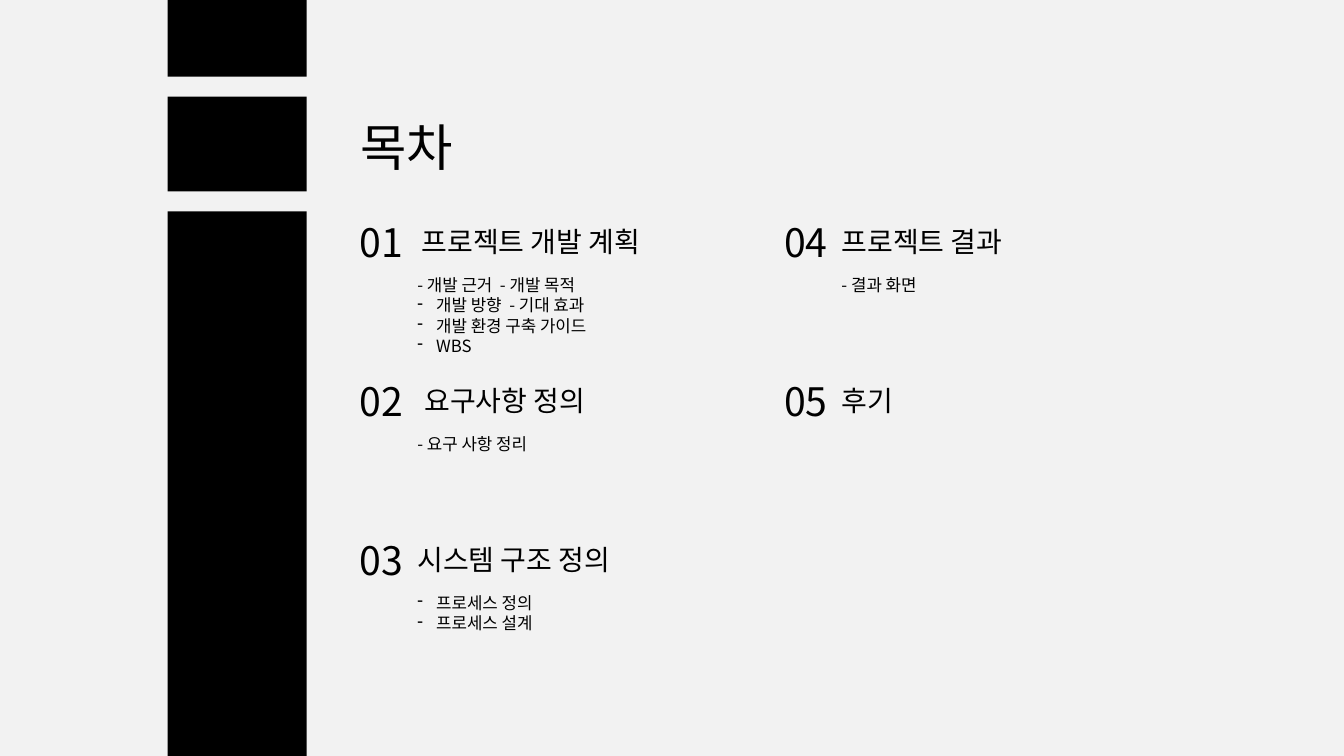
from pptx import Presentation
from pptx import util as u
from pptx.dml.color import RGBColor
from pptx.enum import shapes, text
from pptx.oxml.xmlchemy import OxmlElement

Pt = u.Pt
BLACK = RGBColor(0, 0, 0)
PALE = RGBColor(0xF2, 0xF2, 0xF2)
FONT = "Noto Sans CJK KR"

COLUMNS = (250, 553)
TOP, ROW_STEP, ROWS = 152.6, 113.5, 3
BULLET_INDENT = 13.5

# Heading, heading offset from its number, details as (text, bulleted)
SECTIONS = [
    ("프로젝트 개발 계획", 44, [("- 개발 근거  - 개발 목적", False),
                        ("개발 방향  - 기대 효과", True),
                        ("개발 환경 구축 가이드", True),
                        ("WBS", True)]),
    ("요구사항 정의", 46, [("- 요구 사항 정리", False)]),
    ("시스템 구조 정의", 41, [("프로세스 정의", True), ("프로세스 설계", True)]),
    ("프로젝트 결과", 41, [("- 결과 화면", False)]),
    ("후기", 41, []),
]


def write(p, content, size=12, color=BLACK, bullet=False):
    """Fill a paragraph with one formatted run, optionally dash-bulleted."""
    p.alignment = text.PP_ALIGN.LEFT
    r = p.add_run()
    r.text = content
    r.font.size, r.font.name = Pt(size), FONT
    r.font.color.rgb = color
    ea = OxmlElement("a:ea")
    ea.set("typeface", FONT)
    r.font._element.find("{*}latin").addnext(ea)
    if bullet:
        pPr = p._p.get_or_add_pPr()
        pPr.set("marL", str(Pt(BULLET_INDENT)))
        pPr.set("indent", str(-Pt(BULLET_INDENT)))
        bu = OxmlElement("a:buChar")
        bu.set("char", "-")
        pPr.append(bu)


class Deck:
    def __init__(self):
        self.prs = Presentation()
        self.prs.slide_width, self.prs.slide_height = Pt(960), Pt(540)
        self.s = self.prs.slides.add_slide(self.prs.slide_layouts[5])
        self.s.background.fill.solid()
        self.s.background.fill.fore_color.rgb = PALE

    def bar(self, x, y, w, h):
        sp = self.s.shapes.add_shape(shapes.MSO_SHAPE.RECTANGLE,
                                     Pt(x), Pt(y), Pt(w), Pt(h))
        sp.shadow.inherit = False
        sp.fill.solid()
        sp.fill.fore_color.rgb = BLACK
        sp.line.fill.background()

    def frame(self, sp):
        tf = sp.text_frame
        tf.word_wrap = True
        tf.auto_size = text.MSO_AUTO_SIZE.SHAPE_TO_FIT_TEXT
        tf.vertical_anchor = text.MSO_ANCHOR.TOP
        return tf

    def title(self, content, x, y, w, h):
        sp = self.s.shapes.title
        sp.left, sp.top, sp.width, sp.height = Pt(x), Pt(y), Pt(w), Pt(h)
        write(self.frame(sp).paragraphs[0], content, size=36)

    def label(self, lines, x, y, w, h, size=12):
        sp = self.s.shapes.add_textbox(Pt(x), Pt(y), Pt(w), Pt(h))
        tf = self.frame(sp)
        for i, (content, bullet) in enumerate(lines):
            p = tf.add_paragraph() if i else tf.paragraphs[0]
            write(p, content, size=size, bullet=bullet)

    def section(self, number, heading, offset, details):
        col, row = divmod(number - 1, ROWS)
        x, y = COLUMNS[col], TOP + row * ROW_STEP
        self.label([(f"{number:02d}", False)], x, y, 46, 41, size=28)
        self.label([(heading, False)], x + offset, y + 4.3, 232, 32, size=20)
        if details:
            self.label(details, x + 41, y + 40.3, 213, 7.2 + 14.5 * len(details))


def main():
    d = Deck()
    for y, h in ((0, 54.7), (69, 67.7), (151, 389)):
        d.bar(119.75, y, 99.25, h)
    d.title("목차", 250, 79, 99, 51)
    for number, (heading, offset, details) in enumerate(SECTIONS, 1):
        d.section(number, heading, offset, details)
    d.prs.save("out.pptx")


if __name__ == "__main__":
    main()
